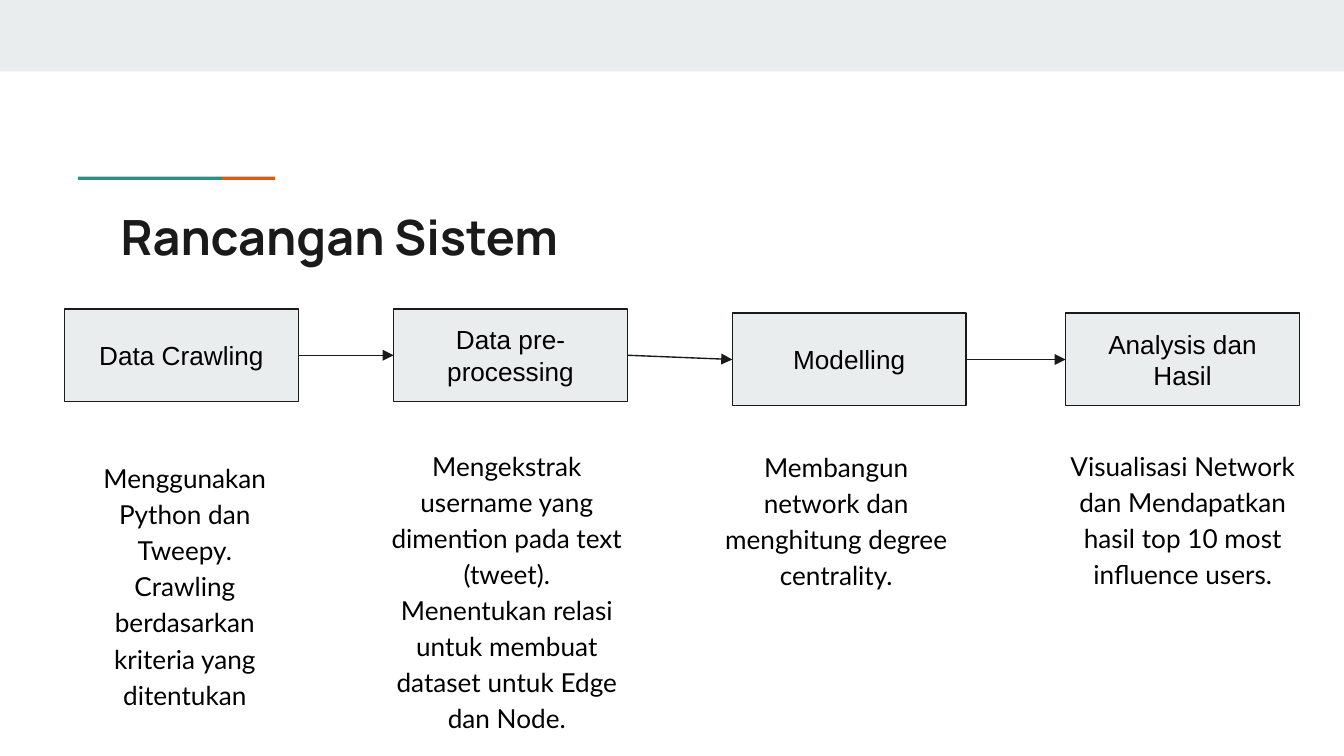
from collections import namedtuple

from lxml.etree import SubElement
from pptx import Presentation
from pptx.dml.color import RGBColor
from pptx.enum.shapes import MSO_CONNECTOR, MSO_SHAPE
from pptx.enum.text import MSO_ANCHOR, MSO_AUTO_SIZE, PP_ALIGN
from pptx.oxml.ns import qn
from pptx.util import Cm, Pt

COLORS = {
    "band": "E9EDEE",
    "ink": "1A1A1A",
    "text": "000000",
    "teal": "1A9988",
    "orange": "EB5600",
}
SLIDE_W, SLIDE_H = 25.4, 14.29
STEP_W, STEP_H = 4.42, 1.75
NOTE_H = 5.49
INSET = 0.25

Box = namedtuple("Box", "left top width height")
Stage = namedtuple("Stage", "name step_at note_at note_width notes")

STAGES = [
    Stage("Data Crawling", (1.22, 5.84), (1.35, 8.41), 4.29,
          ["Menggunakan Python dan Tweepy.",
           "Crawling berdasarkan kriteria yang ditentukan"]),
    Stage("Data pre-processing", (7.44, 5.84), (6.86, 8.18), 5.44,
          ["Mengekstrak username yang dimention pada text (tweet).",
           "Menentukan relasi untuk membuat dataset untuk Edge dan Node."]),
    Stage("Modelling", (13.84, 5.92), (13.34, 8.2), 4.93,
          ["Membangun network dan menghitung degree centrality."]),
    Stage("Analysis dan Hasil", (20.14, 5.92), (19.89, 8.18), 4.93,
          ["Visualisasi Network dan Mendapatkan hasil top 10 most influence users."]),
]


def rgb(name):
    return RGBColor.from_string(COLORS[name])


def in_cm(box):
    return [Cm(length) for length in box]


def write(frame, lines, font, size, color="text", bold=False,
          align=PP_ALIGN.CENTER, anchor=MSO_ANCHOR.TOP, spacing=None):
    """Fill a text frame with one paragraph per line, all in one format."""
    frame.text = "\n".join(lines)
    frame.word_wrap = True
    frame.auto_size = MSO_AUTO_SIZE.NONE
    frame.vertical_anchor = anchor
    frame.margin_left = frame.margin_right = Cm(INSET)
    frame.margin_top = frame.margin_bottom = Cm(INSET)
    for paragraph in frame.paragraphs:
        paragraph.alignment = align
        if spacing:
            paragraph.line_spacing = spacing
        for run in paragraph.runs:
            run.font.name = font
            run.font.size = Pt(size)
            run.font.bold = bold
            run.font.color.rgb = rgb(color)


def add_block(slide, box, fill, outline=None):
    block = slide.shapes.add_shape(MSO_SHAPE.RECTANGLE, *in_cm(box))
    block.shadow.inherit = False
    block.fill.solid()
    block.fill.fore_color.rgb = rgb(fill)
    if outline:
        block.line.color.rgb = rgb(outline)
        block.line.width = Pt(0.75)
    else:
        block.line.fill.background()
    return block


def add_accent_rule(slide, box):
    teal_width = box.width * 0.73
    add_block(slide, box._replace(width=teal_width), "teal")
    add_block(slide, box._replace(left=box.left + teal_width,
                                  width=box.width - teal_width), "orange")


def add_heading(slide, box, heading):
    title = slide.shapes.title
    title.left, title.top, title.width, title.height = in_cm(box)
    write(title.text_frame, [heading], "Manrope", 26, "ink", bold=True,
          align=PP_ALIGN.LEFT)


def add_step(slide, box, name):
    step = add_block(slide, box, "band", outline="ink")
    write(step.text_frame, [name], "Arial", 14, anchor=MSO_ANCHOR.MIDDLE)
    return step


def add_note(slide, box, lines):
    note = slide.shapes.add_textbox(*in_cm(box))
    write(note.text_frame, lines, "Lato", 14, spacing=1.15)


def add_arrow(slide, source, target):
    """Join the right side of one step to the left side of the next."""
    arrow = slide.shapes.add_connector(MSO_CONNECTOR.STRAIGHT, 0, 0, 0, 0)
    arrow.begin_connect(source, 3)
    arrow.end_connect(target, 1)
    arrow.line.color.rgb = rgb("ink")
    arrow.line.width = Pt(0.75)
    properties = arrow._element.spPr
    SubElement(properties.find(qn("a:ln")), qn("a:tailEnd"), type="triangle")
    SubElement(properties, qn("a:effectLst"))


def add_flow(slide, stages):
    steps = [add_step(slide, Box(*stage.step_at, STEP_W, STEP_H), stage.name)
             for stage in stages]
    for source, target in zip(steps, steps[1:]):
        add_arrow(slide, source, target)
    for stage in stages:
        add_note(slide, Box(*stage.note_at, stage.note_width, NOTE_H), stage.notes)


def main():
    deck = Presentation()
    deck.slide_width, deck.slide_height = Cm(SLIDE_W), Cm(SLIDE_H)
    slide = deck.slides.add_slide(deck.slide_layouts[5])
    add_block(slide, Box(0, 0, SLIDE_W, 1.35), "band")
    add_accent_rule(slide, Box(1.47, 3.34, 3.73, 0.06))
    add_heading(slide, Box(2.03, 3.66, 21.36, 1.5), "Rancangan Sistem")
    add_flow(slide, STAGES)
    deck.save("out.pptx")


if __name__ == "__main__":
    main()
